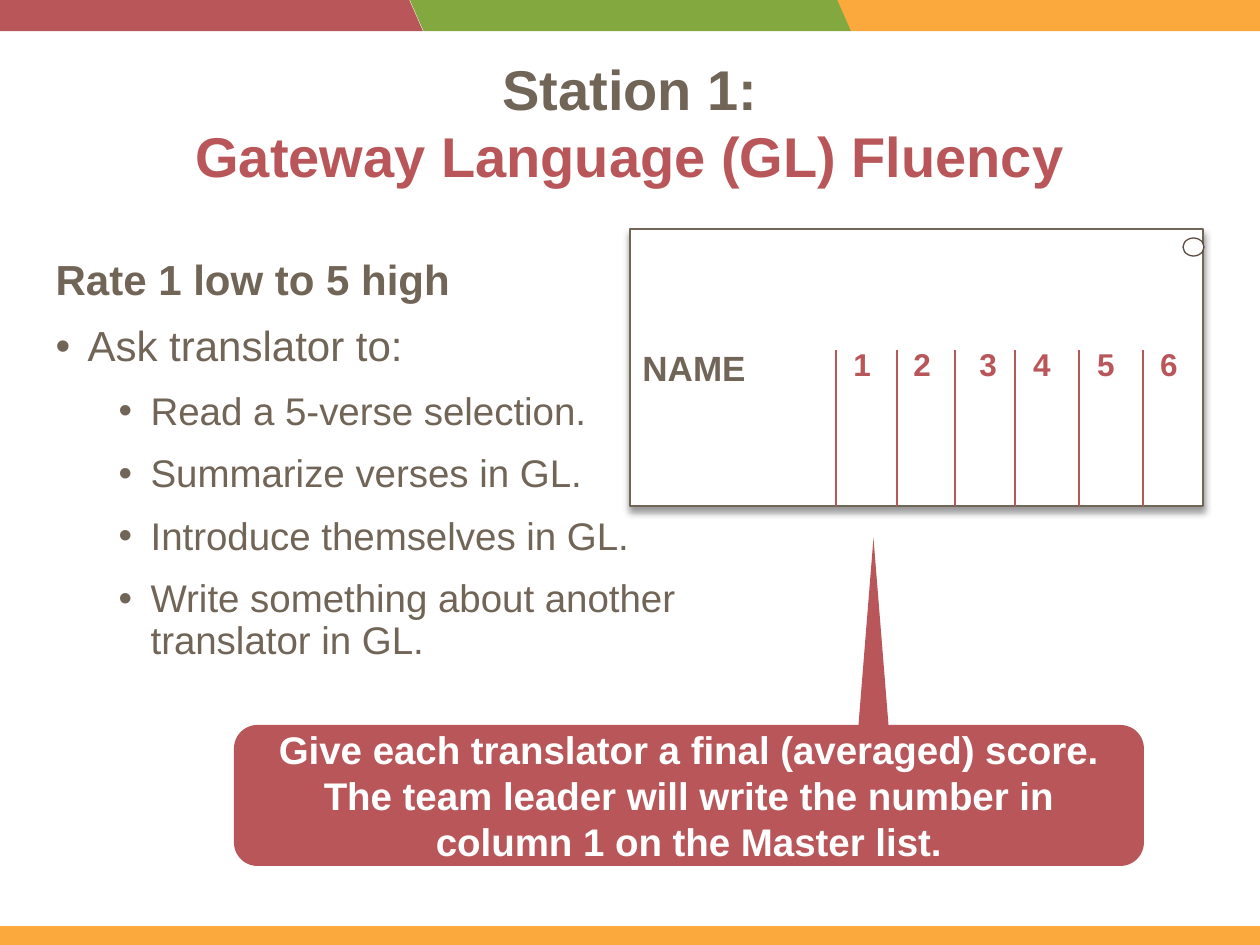
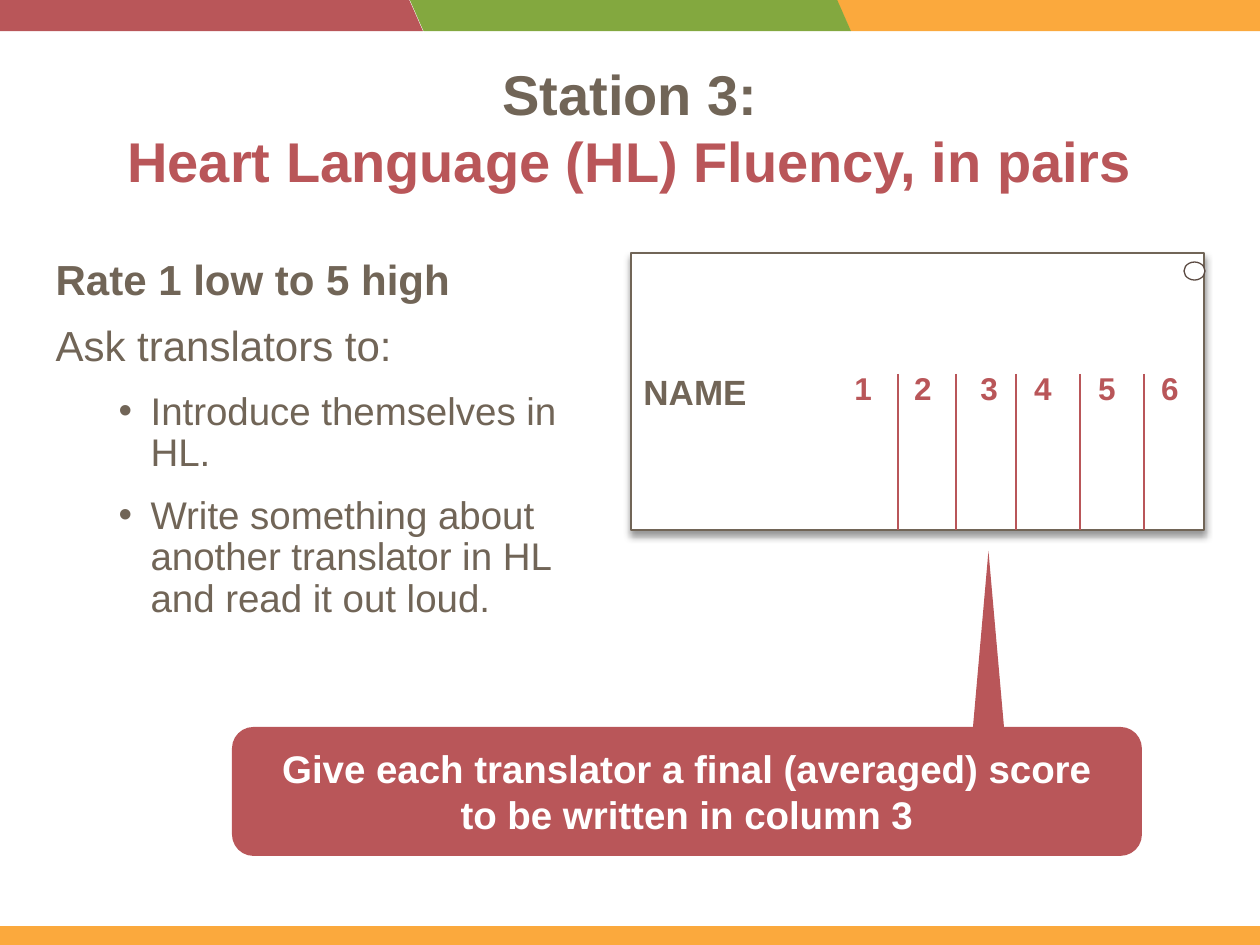
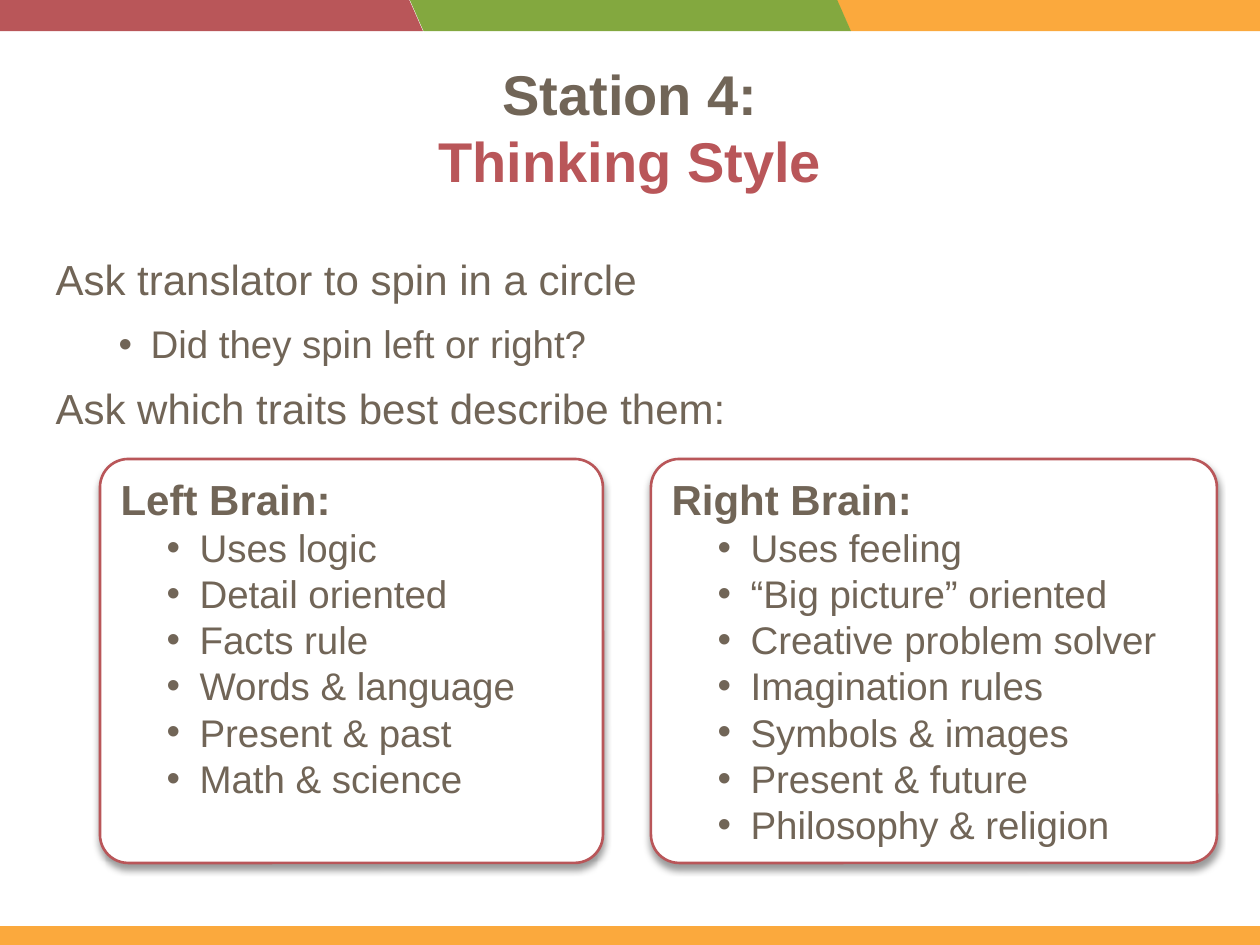
import lxml.etree
import pptx
import pptx.dml.color
import pptx.enum.shapes
import pptx.enum.text
import pptx.oxml.ns
import pptx.util

SCALE = 914400 / 126  # EMU per px
FONT = "Arial"
COLORS = {
    "red": "B95659",
    "green": "83A83F",
    "orange": "FBA93D",
    "text": "716557",
    "hole": "5B4A42",
    "white": "FFFFFF",
}
RGB = {name: pptx.dml.color.RGBColor.from_string(value) for name, value in COLORS.items()}
SHAPES = pptx.enum.shapes.MSO_SHAPE
ANCHOR = pptx.enum.text.MSO_ANCHOR
CENTER = pptx.enum.text.PP_ALIGN.CENTER
NO_FIT = pptx.enum.text.MSO_AUTO_SIZE.NONE
qn = pptx.oxml.ns.qn

BODY_SPACING = {"line_spacing": 0.9, "space_before": pptx.util.Pt(0), "space_after": pptx.util.Pt(12)}
CENTERED = {"alignment": CENTER}

# size, bold, color, paragraph format, (left margin, first-line indent), bullet
STYLES = {
    "title": (32, True, "text", CENTERED, None, False),
    "title accent": (32, True, "red", CENTERED, None, False),
    "heading": (24, True, "text", BODY_SPACING, (0, 0), False),
    "plain": (24, False, "text", BODY_SPACING, (0, 0), False),
    "bullet": (24, False, "text", BODY_SPACING, (32, -32), True),
    "sub-bullet": (22, False, "text", BODY_SPACING, (95, -32), True),
    "callout": (22, True, "white", CENTERED, None, False),
    "name": (20, True, "text", {}, None, False),
    "number": (18, True, "red", CENTERED, None, False),
    "brain": (24, True, "text", {}, None, False),
    "trait": (22, False, "text", {}, (79, -33), True),
}


def write(paragraph, text, style):
    """Add text to a paragraph, with \\v as a line break, in a named style."""
    size, bold, color, formats, indents, bullet = STYLES[style]
    for name, value in formats.items():
        setattr(paragraph, name, value)
    for index, line in enumerate(text.split("\v")):
        if index:
            paragraph.add_line_break()
        if line:
            run = paragraph.add_run()
            run.text = line
            for name, value in {"name": FONT, "size": pptx.util.Pt(size), "bold": bold}.items():
                setattr(run.font, name, value)
            run.font.color.rgb = RGB[color]
    if indents:
        properties = paragraph._p.get_or_add_pPr()
        for name, value in zip(("marL", "indent"), indents):
            properties.set(name, str(round(value * SCALE)))
        if bullet:
            lxml.etree.SubElement(properties, qn("a:buFont"), typeface=FONT)
            lxml.etree.SubElement(properties, qn("a:buChar"), char="•")
        else:
            lxml.etree.SubElement(properties, qn("a:buNone"))


def add_box(slide, kind, bounds, fill, line=None, width=1.5, shadow=False):
    shape = slide.shapes.add_shape(kind, *(round(value * SCALE) for value in bounds))
    shape.shadow.inherit = False
    shape.fill.solid()
    shape.fill.fore_color.rgb = RGB[fill]
    if line:
        shape.line.color.rgb = RGB[line]
        shape.line.width = pptx.util.Pt(width)
    else:
        shape.line.fill.background()
    if shadow:
        effects = shape.element.spPr.find(qn("a:effectLst"))
        outer = lxml.etree.SubElement(
            effects, qn("a:outerShdw"), blurRad="50800", dist="38100",
            dir="5400000", algn="t", rotWithShape="0")
        color = lxml.etree.SubElement(outer, qn("a:srgbClr"), val="000000")
        lxml.etree.SubElement(color, qn("a:alpha"), val="40000")
    return shape


STATIONS = [
    {
        "title": ("Station 1:", "Gateway Language (GL) Fluency"),
        "title top": 48,
        "body bounds": (43, 253, 677, 464),
        "body": [
            ("Rate 1 low to 5 high", "heading"),
            ("Ask translator to:", "bullet"),
            ("Read a 5-verse selection.", "sub-bullet"),
            ("Summarize verses in GL.", "sub-bullet"),
            ("Introduce themselves in GL.", "sub-bullet"),
            ("Write something about another translator in GL.", "sub-bullet"),
        ],
        "card": (630, 229),
        "column lines": (206, 267, 325, 385, 449, 513),
        "pointer": (858, 538, 31, 193),
        "callout bounds": (234, 725, 910, 141),
        "callout": "Give each translator a final (averaged) score. The team leader "
                   "will write the number in column 1 on the Master list.",
    },
    {
        "title": ("Station 3:", "Heart Language (HL) Fluency, in pairs"),
        "title top": 53,
        "body bounds": (43, 253, 587, 464),
        "body": [
            ("Rate 1 low to 5 high", "heading"),
            ("Ask translators to:", "plain"),
            ("Introduce themselves in HL.", "sub-bullet"),
            ("Write something about another translator in HL and read it out loud.", "sub-bullet"),
        ],
        "card": (631, 253),
        "column lines": (267, 325, 385, 449, 513),
        "pointer": (973, 551, 31, 176),
        "callout bounds": (232, 727, 910, 129),
        "callout": "Give each translator a final (averaged) score\vto be written in column 3",
    },
    {
        "title": ("Station 4:", "Thinking Style"),
        "title top": 53,
        "body bounds": (43, 253, 1131, 189),
        "body": [
            ("Ask translator to spin in a circle", "plain"),
            ("Did they spin left or right?", "sub-bullet"),
            ("Ask which traits best describe them:", "plain"),
        ],
    },
]
NUMBER_CENTERS = (232, 292, 358, 412, 476, 539)
CARD_WIDTH, CARD_HEIGHT = 573, 277

BRAINS = [
    (100, 503, "Left Brain:", (
        "Uses logic", "Detail oriented", "Facts rule", "Words & language",
        "Present & past", "Math & science")),
    (651, 566, "Right Brain:", (
        "Uses feeling", "“Big picture” oriented", "Creative problem solver",
        "Imagination rules", "Symbols & images", "Present & future",
        "Philosophy & religion")),
]

presentation = pptx.Presentation()
presentation.slide_width = round(1260 * SCALE)
presentation.slide_height = round(945 * SCALE)
layout = presentation.slide_layouts[1]

# Title, list and, at stations with a score, the name card and callout
for station in STATIONS:
    slide = presentation.slides.add_slide(layout)
    title, body = slide.placeholders
    title_bounds = (87, station["title top"], 1086, 183)
    for placeholder, bounds in ((title, title_bounds), (body, station["body bounds"])):
        for name, value in zip(("left", "top", "width", "height"), bounds):
            setattr(placeholder, name, round(value * SCALE))
        placeholder.text_frame.auto_size = NO_FIT
        placeholder.text_frame.vertical_anchor = ANCHOR.TOP

    paragraph = title.text_frame.paragraphs[0]
    write(paragraph, station["title"][0] + "\v", "title")
    write(paragraph, station["title"][1], "title accent")
    for index, (text, style) in enumerate(station["body"]):
        frame = body.text_frame
        paragraph = frame.add_paragraph() if index else frame.paragraphs[0]
        paragraph.level = 1 if style == "sub-bullet" else 0
        write(paragraph, text, style)

    if "card" not in station:
        continue
    left, top = station["card"]
    card = add_box(slide, SHAPES.RECTANGLE, (left, top, CARD_WIDTH, CARD_HEIGHT),
                   "white", "text", shadow=True)
    card.text_frame.vertical_anchor = ANCHOR.TOP
    card.text_frame.margin_top = round(118 * SCALE)
    paragraph = card.text_frame.paragraphs[0]
    paragraph.alignment = pptx.enum.text.PP_ALIGN.LEFT
    write(paragraph, "NAME", "name")

    for offset in station["column lines"]:
        ends = (left + offset, top + 121, left + offset, top + CARD_HEIGHT)
        column_line = slide.shapes.add_connector(
            pptx.enum.shapes.MSO_CONNECTOR.STRAIGHT, *(round(value * SCALE) for value in ends))
        column_line.line.color.rgb = RGB["red"]
        column_line.line.width = pptx.util.Pt(1)
        lxml.etree.SubElement(column_line.element.spPr, qn("a:effectLst"))
    add_box(slide, SHAPES.OVAL, (left + 553, top + 9, 21, 18), "white", "hole", 0.75)

    for number, center in enumerate(NUMBER_CENTERS, 1):
        bounds = (left + center - 27, top + 110, 54, 50)
        label = slide.shapes.add_textbox(*(round(value * SCALE) for value in bounds))
        label.text_frame.word_wrap = True
        label.text_frame.vertical_anchor = ANCHOR.MIDDLE
        write(label.text_frame.paragraphs[0], str(number), "number")

    add_box(slide, SHAPES.ISOSCELES_TRIANGLE, station["pointer"], "red")
    callout = add_box(slide, SHAPES.ROUNDED_RECTANGLE, station["callout bounds"], "red")
    callout.text_frame.vertical_anchor = ANCHOR.MIDDLE
    write(callout.text_frame.paragraphs[0], station["callout"], "callout")

# Trait panels on the thinking style slide
for left, width, heading, traits in BRAINS:
    panel = add_box(slide, SHAPES.ROUNDED_RECTANGLE, (left, 459, width, 404),
                    "white", "red", shadow=True)
    panel.adjustments[0] = 0.07
    frame = panel.text_frame
    frame.vertical_anchor = ANCHOR.TOP
    write(frame.paragraphs[0], heading, "brain")
    for trait in traits:
        write(frame.add_paragraph(), trait, "trait")
    for paragraph in frame.paragraphs:
        paragraph.alignment = pptx.enum.text.PP_ALIGN.LEFT

# Bands shared by all slides, moved to the slide master
bands = [add_box(slide, SHAPES.RECTANGLE, (0, 926, 1260, 19), "orange")]
for left, color in ((837, "orange"), (-18, "red"), (410, "green")):
    band = add_box(slide, SHAPES.PARALLELOGRAM, (left, 0, 441, 31), color)
    band.adjustments[0] = 0.44
    band.element.spPr.find(qn("a:xfrm")).set("flipH", "1")
    bands.append(band)
for band in bands:
    presentation.slide_master.shapes.element.append(band.element)

presentation.save("out.pptx")
